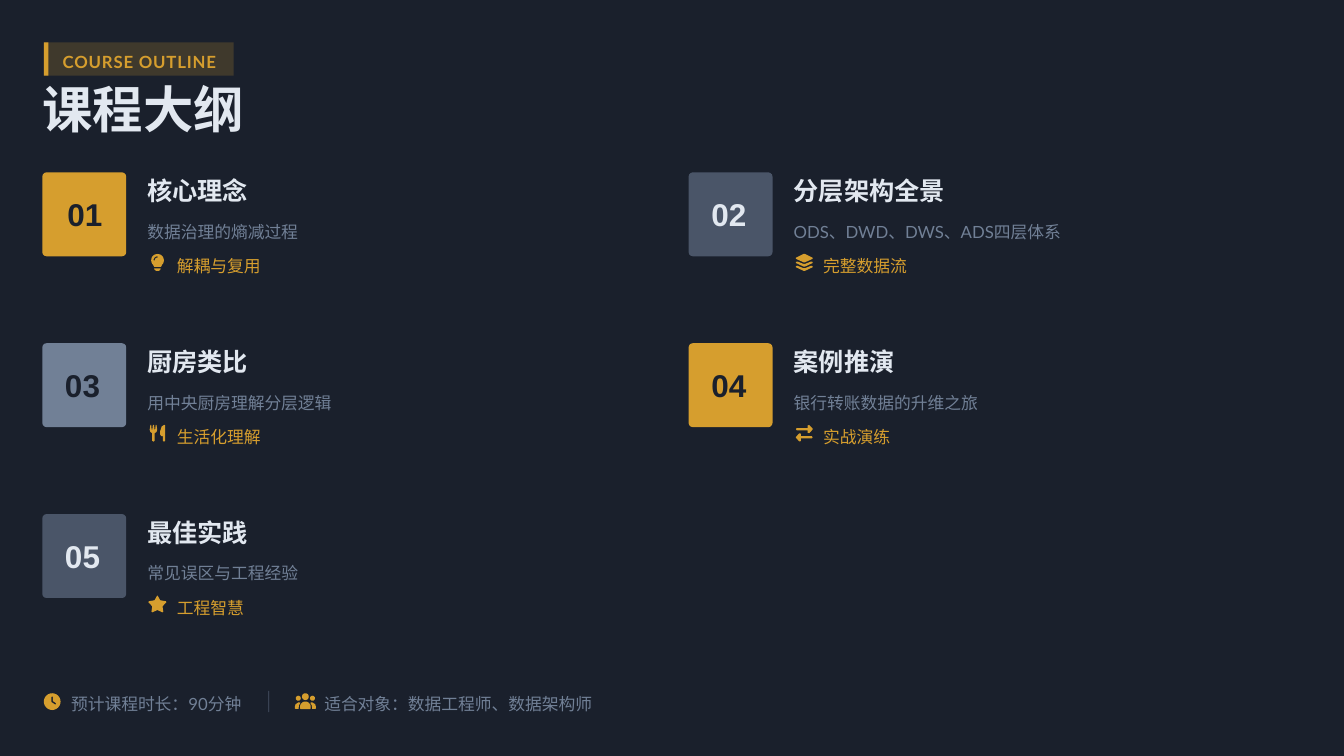
import math

import pptx
import pptx.dml.color
import pptx.enum.shapes
import pptx.enum.text
import pptx.oxml
import pptx.oxml.ns
import pptx.util
from pptx.util import Inches

NIGHT, GOLD, SLATE = "1A202C", "D69E2E", "4A5568"
GREY, PALE = "718096", "E2E8F0"
RECTANGLE = pptx.enum.shapes.MSO_SHAPE.RECTANGLE
ROUNDED = pptx.enum.shapes.MSO_SHAPE.ROUNDED_RECTANGLE


def color(value):
    return pptx.dml.color.RGBColor.from_string(value)


def paint(shape, fill, alpha=None):
    shape.shadow.inherit = False
    shape.fill.solid()
    shape.fill.fore_color.rgb = color(fill)
    shape.line.fill.background()
    if alpha is not None:
        tint = shape.fill._xPr.find(".//" + pptx.oxml.ns.qn("a:srgbClr"))
        tint.append(pptx.oxml.parse_xml(
            '<a:alpha xmlns:a="http://schemas.openxmlformats.org/drawingml/2006/main" '
            f'val="{alpha * 1000}"/>'))


def add_block(page, kind, left, top, width, height, fill, alpha=None):
    block = page.shapes.add_shape(
        kind, Inches(left), Inches(top), Inches(width), Inches(height))
    paint(block, fill, alpha)
    return block


def add_text(page, text, left, top, width, height, *, size=16, fill=GREY,
             font="Lato", bold=False, leading=None, tracking=None):
    box = page.shapes.add_textbox(
        Inches(left), Inches(top), Inches(width), Inches(height))
    frame = box.text_frame
    frame.word_wrap = True
    frame.vertical_anchor = pptx.enum.text.MSO_ANCHOR.MIDDLE
    frame.margin_left = frame.margin_right = 0
    frame.margin_top = frame.margin_bottom = 0
    para = frame.paragraphs[0]
    if leading:
        para.line_spacing = leading
    span = para.add_run()
    span.text = text
    span.font.name = font
    span.font.size = pptx.util.Pt(size)
    span.font.bold = bold
    span.font.color.rgb = color(fill)
    properties = span.font._element
    east = properties.makeelement(
        pptx.oxml.ns.qn("a:ea"), {"typeface": "Noto Sans CJK SC"})
    properties.find(pptx.oxml.ns.qn("a:latin")).addnext(east)
    if tracking:
        properties.set("spc", str(int(tracking * 100)))


# Icon outlines, in hundredths of an inch
def arc(x, y, radius, start=0, end=360, steps=24):
    angles = [math.radians(start + (end - start) * i / steps) for i in range(steps + 1)]
    return [(x + radius * math.cos(a), y + radius * math.sin(a)) for a in angles]


def mirror(points, width):
    return [(width - x, y) for x, y in points]


def shift(points, down):
    return [(x, y + down) for x, y in points]


def bulb():
    return [arc(8.4, 8.4, 8.4, 45, -225) + [(4, 17), (13, 17)],
            [(4, 19), (12.5, 19), (12, 21), (10, 22.5), (7, 22.5), (4.5, 21)],
            arc(8.4, 8.4, 5.3, 180, 270) + arc(8.4, 8.4, 3.6, 270, 180)]


def layers():
    sheet = [(0, 10.5), (2, 10), (9.5, 13), (12.5, 13), (20, 10), (22, 10.5),
             (22, 12), (12, 16.7), (10, 16.7), (0, 12)]
    top = [(0, 5), (10, 0), (12, 0), (22, 5), (22, 6.5), (12, 11), (10, 11), (0, 6.5)]
    return [top, sheet, shift(sheet, 5.6)]


def utensils():
    fork = [(1, 0), (0, 6.5), (1, 9.5), (3.3, 11), (3.3, 21), (5, 22.3),
            (6.6, 21), (6.6, 11), (9, 9.5), (10, 6.5), (9, 0), (8, 0),
            (7.3, 6.5), (6.5, 6.5), (5.7, 0), (4.3, 0), (3.5, 6.5), (2.7, 6.5), (2, 0)]
    knife = [(19.5, 0), (16, 2), (14, 8), (14, 13), (15.5, 15), (17.5, 15),
             (17.5, 21), (19, 22.3), (20.5, 21), (20.5, 0.5)]
    return [fork, knife]


def arrows():
    right = [(22, 6.3), (17.5, 11), (15.5, 10.5), (15.5, 7.2), (1, 7.2), (0, 5.7),
             (1, 4.2), (15.5, 4.2), (15.5, 0.8), (17.5, 0.2), (22, 5)]
    return [right, [(22 - x, 22.2 - y) for x, y in right]]


def star():
    half = [(12.6, 0), (16, 6), (23.5, 7.3), (24, 8.7), (19, 14), (20, 21),
            (19, 22), (12.2, 19)]
    return [half + mirror(half, 24.4)[::-1]]


def clock():
    hands = [(10, 5), (11, 4), (12, 5), (12, 10.3), (16, 13), (16, 14.5),
             (15, 15), (10.4, 12), (10, 11)]
    return [arc(11.1, 11.1, 11.1), hands]


def people():
    head = arc(4.6, 6.6, 3.3)
    body = [(0, 18), (1, 14.5), (5, 12), (7.5, 12.5), (5.5, 16), (5, 20.8),
            (1, 20.8), (0, 20)]
    middle = arc(14, 18, 7, 180, 360) + [(21, 20), (20, 21), (8, 21), (7, 20)]
    return [arc(14, 4.5, 4.5), head, mirror(head, 28), body, mirror(body, 28), middle]


def add_icon(page, outlines, left, top):
    scaled = [[(x * 10, y * 10) for x, y in outline] for outline in outlines]
    builder = page.shapes.build_freeform(*scaled[0][0], scale=Inches(1) / 1000)
    builder.add_line_segments(scaled[0][1:], close=True)
    for outline in scaled[1:]:
        builder.move_to(*outline[0])
        builder.add_line_segments(outline[1:], close=True)
    paint(builder.convert_to_shape(Inches(left), Inches(top)), GOLD)


def add_chapter(page, index, title, summary, tag, icon, icon_shift, fill, ink):
    left = 0.56 + index % 2 * 8.55
    top = 2.28 + index // 2 * 2.26
    badge = add_block(page, ROUNDED, left, top, 1.11, 1.11, fill)
    badge.adjustments[0] = 0.05
    number_left = left + (0.33 if index == 0 else 0.3)
    add_text(page, f"{index + 1:02d}", number_left, top + 0.3, 0.72, 0.5,
             size=30, fill=ink, font="Arial", bold=True)
    text_left = left + 1.39
    width = 15.44 if index == 4 else 6.89
    add_text(page, title, text_left, top, width, 0.44,
             size=24, fill=PALE, bold=True, leading=1.1)
    add_text(page, summary, text_left, top + 0.55, width - 0.05, 0.36, leading=1.4)
    add_icon(page, icon, left + icon_shift, top + 1.08)
    add_text(page, tag, left + 1.78, top + 1.03, 1.22 if len(tag) > 4 else 1, 0.33,
             fill=GOLD, leading=1.3)


def main():
    deck = pptx.Presentation()
    deck.slide_width, deck.slide_height = Inches(17.78), Inches(10)
    page = deck.slides.add_slide(deck.slide_layouts[6])
    page.background.fill.solid()
    page.background.fill.fore_color.rgb = color(NIGHT)

    # Heading
    add_block(page, RECTANGLE, 0.58, 0.56, 2.51, 0.44, GOLD, alpha=20)
    add_block(page, RECTANGLE, 0.58, 0.56, 0.06, 0.44, GOLD)
    add_text(page, "COURSE OUTLINE", 0.83, 0.63, 2.15, 0.29,
             fill=GOLD, bold=True, leading=1.3, tracking=0.8)
    add_text(page, "课程大纲", 0.56, 1.17, 17, 0.67, size=48, fill=PALE,
             font="Noto Sans CJK SC", bold=True, leading=0.8)

    # Chapters, two to a row
    chapters = [
        ("核心理念", "数据治理的熵减过程", "解耦与复用", bulb(), 1.44, GOLD, NIGHT),
        ("分层架构全景", "ODS、DWD、DWS、ADS四层体系", "完整数据流", layers(), 1.42, SLATE, PALE),
        ("厨房类比", "用中央厨房理解分层逻辑", "生活化理解", utensils(), 1.42, GREY, NIGHT),
        ("案例推演", "银行转账数据的升维之旅", "实战演练", arrows(), 1.42, GOLD, NIGHT),
        ("最佳实践", "常见误区与工程经验", "工程智慧", star(), 1.4, SLATE, PALE),
    ]
    for index, chapter in enumerate(chapters):
        add_chapter(page, index, *chapter)

    # Footer
    add_icon(page, clock(), 0.58, 9.17)
    add_text(page, "预计课程时长：90分钟", 0.94, 9.11, 2.39, 0.33, leading=1.3)
    add_block(page, RECTANGLE, 3.55, 9.14, 0.01, 0.28, SLATE)
    add_icon(page, people(), 3.9, 9.17)
    add_text(page, "适合对象：数据工程师、数据架构师", 4.29, 9.11, 3.67, 0.33, leading=1.3)

    deck.save("out.pptx")


if __name__ == "__main__":
    main()
